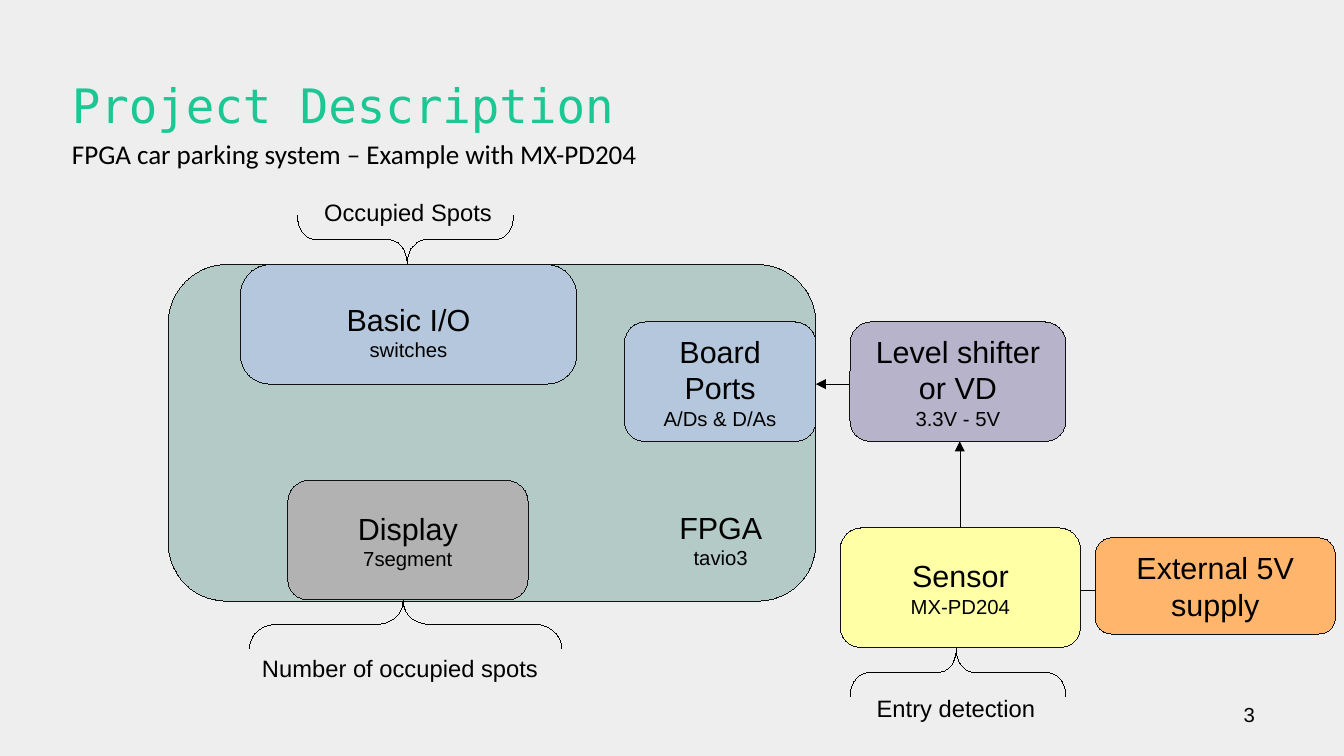
from dataclasses import dataclass

from lxml import etree
from pptx import Presentation
from pptx import util as u
from pptx.dml.color import RGBColor
from pptx.enum import shapes, text
from pptx.oxml import ns

BACKGROUND = RGBColor(0xEE, 0xEE, 0xEE)
BLACK = RGBColor(0, 0, 0)
OUTLINE = RGBColor(0x11, 0x11, 0x11)
TITLE_GREEN = RGBColor(0x1B, 0xC7, 0x93)
BOARD_GREEN = RGBColor(0xB3, 0xCA, 0xC7)
PORT_BLUE = RGBColor(0xB4, 0xC7, 0xDC)
DISPLAY_GREY = RGBColor(0xB2, 0xB2, 0xB2)
SENSOR_YELLOW = RGBColor(0xFF, 0xFF, 0xA6)
SHIFTER_PURPLE = RGBColor(0xB7, 0xB3, 0xCA)
SUPPLY_ORANGE = RGBColor(0xFF, 0xB6, 0x6C)
HAIRLINE = u.Pt(0.01)


@dataclass
class Block:
    box: tuple[float, float, float, float]
    fill: RGBColor
    heading: str = ""
    detail: str = ""
    corner: float = 0.173
    outlined: bool = True
    top_inset: float = 0.05


@dataclass
class Label:
    box: tuple[float, float, float, float]
    words: str
    size: int = 14
    font: str = "Arial"
    colour: RGBColor = BLACK
    inset: tuple[float, float] = (0.1, 0.05)
    anchor: text.MSO_ANCHOR = text.MSO_ANCHOR.TOP


@dataclass
class Brace:
    box: tuple[float, float, float, float]
    rotation: int
    curve: float


@dataclass
class Arrow:
    start: tuple[float, float]
    end: tuple[float, float]


BOARD = Block((1.38, 2.17, 5.31, 2.76), BOARD_GREEN)
ARROWS = [
    Arrow((9.06, 4.84), (8.66, 4.84)),
    Arrow((6.97, 3.15), (6.69, 3.15)),
    Arrow((7.87, 4.33), (7.87, 3.62)),
]
BLOCKS = [
    Block((5.32, 4.13, 1.18, 0.59), BOARD_GREEN, "FPGA", "tavio3", 0.252, False),
    Block((6.89, 4.33, 1.97, 0.98), SENSOR_YELLOW, "Sensor", "MX-PD204"),
    Block((2.36, 3.94, 1.97, 0.98), DISPLAY_GREY, "Display", "7segment"),
    Block((1.97, 2.17, 2.76, 0.98), PORT_BLUE, "Basic I/O", "switches", 0.252, top_inset=0.16),
    Block((5.12, 2.64, 1.57, 0.98), PORT_BLUE, "Board Ports", "A/Ds & D/As"),
    Block((6.97, 2.64, 1.77, 0.98), SHIFTER_PURPLE, "Level shifter or VD", "3.3V - 5V"),
    Block((8.98, 4.41, 1.97, 0.79), SUPPLY_ORANGE, "External 5V supply"),
]
BRACES = [
    Brace((3.13, 1.08, 0.39, 1.77), 270, 0.38),
    Brace((3.13, 3.84, 0.39, 2.56), 90, 0.56),
    Brace((7.66, 4.63, 0.39, 1.77), 90, 0.38),
]
LABELS = [
    Label((0.59, 0.34, 5.91, 1.04), "Project Description", 28, "DejaVu Sans Mono",
          TITLE_GREEN, (0, 0), text.MSO_ANCHOR.MIDDLE),
    Label((0.59, 0.74, 6.5, 1.04), "FPGA car parking system – Example with MX-PD204", 16,
          "Calibri", inset=(0, 0), anchor=text.MSO_ANCHOR.MIDDLE),
    Label((7.09, 5.64, 1.57, 0.66), "Entry detection"),
    Label((2.56, 1.57, 1.77, 0.66), "Occupied Spots"),
    Label((2.05, 5.31, 2.56, 0.66), "Number of occupied spots"),
    Label((10.1, 5.71, 0.9, 0.47), "3", 12),
]


def inches(values: tuple) -> list:
    return [u.Inches(value) for value in values]


def apply(target, settings: dict) -> None:
    for name, value in settings.items():
        setattr(target, name, value)


def set_hairline(line, colour: RGBColor) -> None:
    line.color.rgb = colour
    line.width = HAIRLINE


def write(paragraph, words: str, size: int, font: str, colour: RGBColor) -> None:
    run = paragraph.add_run()
    run.text = words
    apply(run.font, {"size": u.Pt(size), "name": font})
    run.font.color.rgb = colour


def set_frame(frame, inset: tuple[float, float], top: float, anchor: text.MSO_ANCHOR) -> None:
    side, bottom = inches(inset)
    apply(frame, {
        "word_wrap": True, "vertical_anchor": anchor, "margin_left": side,
        "margin_right": side, "margin_top": u.Inches(top), "margin_bottom": bottom,
    })


def draw_block(slide, block: Block) -> None:
    shape = slide.shapes.add_shape(shapes.MSO_SHAPE.ROUNDED_RECTANGLE, *inches(block.box))
    shape.shadow.inherit = False
    shape.adjustments[0] = block.corner
    shape.fill.solid()
    shape.fill.fore_color.rgb = block.fill
    if block.outlined:
        set_hairline(shape.line, OUTLINE)
    else:
        shape.line.fill.background()
    frame = shape.text_frame
    set_frame(frame, (0.1, 0.05), block.top_inset, text.MSO_ANCHOR.MIDDLE)
    rows = [(words, size) for words, size in ((block.heading, 18), (block.detail, 12)) if words]
    for index, (words, size) in enumerate(rows):
        paragraph = frame.add_paragraph() if index else frame.paragraphs[0]
        paragraph.alignment = text.PP_ALIGN.CENTER
        write(paragraph, words, size, "Arial", BLACK)


def draw_label(slide, label: Label) -> None:
    frame = slide.shapes.add_textbox(*inches(label.box)).text_frame
    set_frame(frame, label.inset, label.inset[1], label.anchor)
    write(frame.paragraphs[0], label.words, label.size, label.font, label.colour)


def draw_brace(slide, brace: Brace) -> None:
    shape = slide.shapes.add_shape(shapes.MSO_SHAPE.LEFT_BRACE, *inches(brace.box))
    shape.shadow.inherit = False
    shape.rotation = brace.rotation
    shape.adjustments[0] = brace.curve
    shape.adjustments[1] = 0.508
    shape.fill.background()
    set_hairline(shape.line, BLACK)


def draw_arrow(slide, arrow: Arrow) -> None:
    connector = slide.shapes.add_connector(
        shapes.MSO_CONNECTOR.STRAIGHT, *inches(arrow.start + arrow.end))
    set_hairline(connector.line, BLACK)
    line = connector.line._get_or_add_ln()
    etree.SubElement(line, ns.qn("a:tailEnd")).set("type", "triangle")
    etree.SubElement(connector._element.spPr, ns.qn("a:effectLst"))


def main() -> None:
    deck = Presentation()
    apply(deck, {"slide_width": u.Inches(11.02), "slide_height": u.Inches(6.2)})
    slide = deck.slides.add_slide(deck.slide_layouts[6])
    slide.background.fill.solid()
    slide.background.fill.fore_color.rgb = BACKGROUND
    for draw, parts in (
        (draw_block, [BOARD]),
        (draw_arrow, ARROWS),
        (draw_block, BLOCKS),
        (draw_brace, BRACES),
        (draw_label, LABELS),
    ):
        for part in parts:
            draw(slide, part)
    deck.save("out.pptx")


if __name__ == "__main__":
    main()
